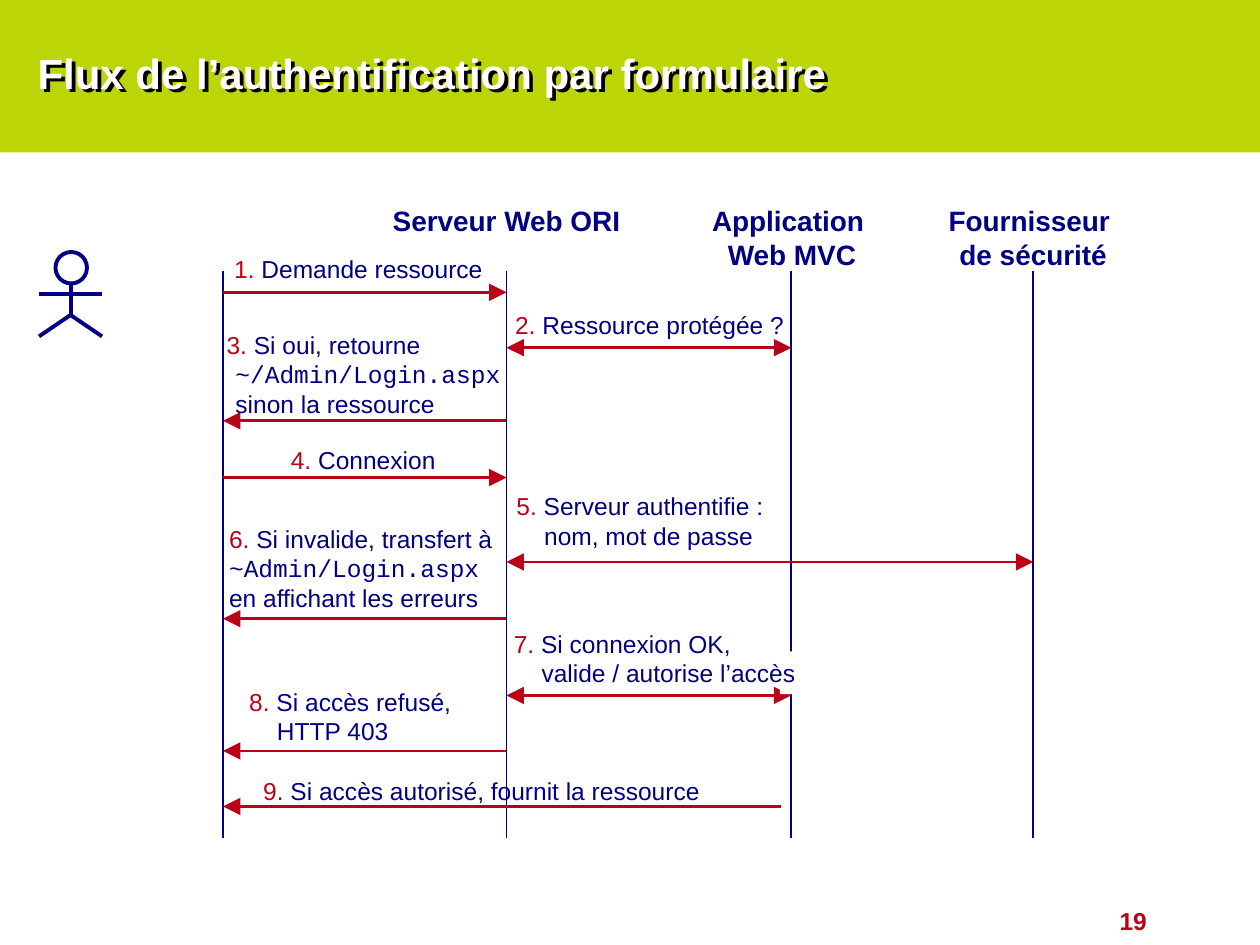
from lxml.etree import SubElement
from pptx import Presentation
from pptx.dml.color import RGBColor
from pptx.enum.shapes import MSO_CONNECTOR, MSO_SHAPE
from pptx.enum.text import MSO_ANCHOR, PP_ALIGN
from pptx.oxml.ns import qn
from pptx.util import Inches, Pt

LIME = RGBColor(0xBC, 0xD5, 0x07)
WHITE = RGBColor(0xFF, 0xFF, 0xFF)
NAVY = RGBColor(0x00, 0x00, 0x80)
RED = RGBColor(0xB9, 0x01, 0x17)

prs = Presentation()
prs.slide_width, prs.slide_height = Inches(10), Inches(7.5)
slide = prs.slides.add_slide(prs.slide_layouts[6])
slide.background.fill.solid()
slide.background.fill.fore_color.rgb = LIME


def add_line(start, end, color, width, heads=""):
    """Draw a line; heads may hold "<" (at start) and ">" (at end)."""
    points = [Inches(v) for v in (*start, *end)]
    line = slide.shapes.add_connector(MSO_CONNECTOR.STRAIGHT, *points)
    line.line.color.rgb = color
    line.line.width = Pt(width)
    ln = line.line._get_or_add_ln()
    for mark, tag in (("<", "a:headEnd"), (">", "a:tailEnd")):
        if mark in heads:
            SubElement(ln, qn(tag), type="triangle", w="lg", len="lg")
    SubElement(line._element.spPr, qn("a:effectLst"))


def add_text(box, lines, size, bold=False, align=PP_ALIGN.LEFT, indent=0, wrap=False):
    """Add one paragraph per line; a line is a list of (text, color, font)."""
    textbox = slide.shapes.add_textbox(*[Inches(v) for v in box])
    frame = textbox.text_frame
    frame.word_wrap = wrap
    for i, line in enumerate(lines):
        para = frame.paragraphs[0] if i == 0 else frame.add_paragraph()
        para.alignment = align
        if i and indent:
            para._p.get_or_add_pPr().set("marL", str(Inches(indent)))
        for text, color, font in line:
            run = para.add_run()
            run.text = text
            run.font.size = Pt(size)
            run.font.bold = bold
            run.font.color.rgb = color
            run.font.name = font
    return textbox


# White content area under the title band
content = slide.shapes.add_shape(MSO_SHAPE.RECTANGLE, Inches(0), Inches(1.21),
                                 Inches(10), Inches(6.29))

# Page number
add_text((7.62, 7.14, 1.58, 0.33), [[("19", RED, "Arial")]], 14, True,
         PP_ALIGN.RIGHT, wrap=True)

# Title with a hard black shadow
title = add_text((0.2, 0.18, 8.52, 0.79),
                 [[("Flux de l’authentification par formulaire", WHITE, "Arial")]],
                 24, True, wrap=True)
title.text_frame.vertical_anchor = MSO_ANCHOR.MIDDLE
effects = SubElement(title._element.spPr, qn("a:effectLst"))
shadow = SubElement(effects, qn("a:outerShdw"), blurRad="0", dist=str(Pt(3)),
                    dir="2700000", algn="ctr", rotWithShape="0")
SubElement(shadow, qn("a:srgbClr"), val="000000")

# Lifelines
USER, SERVER, APP, PROVIDER = 1.77, 4.02, 6.28, 8.2
for x in (USER, SERVER, APP, PROVIDER):
    add_line((x, 2.15), (x, 6.65), NAVY, 1)

# Lifeline headings
headings = [
    ((2.82, 1.57, 2.4, 0.37), ["Serveur Web ORI"]),
    ((5.54, 1.57, 1.49, 0.64), ["Application ", "Web MVC"]),
    ((7.42, 1.57, 1.56, 0.64), ["Fournisseur ", "de sécurité"]),
]
for box, lines in headings:
    add_text(box, [[(line, NAVY, "Arial")] for line in lines], 16, True, PP_ALIGN.CENTER)

# Message arrows: y, from, to, heads
messages = [
    (2.32, USER, SERVER, ">"),
    (2.76, SERVER, APP, "<>"),
    (3.34, USER, SERVER, "<"),
    (3.79, USER, SERVER, ">"),
    (4.46, SERVER, PROVIDER, "<>"),
    (4.91, USER, SERVER, "<"),
    (5.52, SERVER, APP, "<>"),
    (5.96, USER, SERVER, "<"),
    (6.4, USER, 6.2, "<"),
]
for y, start, end, heads in messages:
    add_line((start, y), (end, y), RED, 1.5, heads)

# Gap in the application lifeline behind step 7
gap = slide.shapes.add_shape(MSO_SHAPE.RECTANGLE, Inches(6.19), Inches(5.17),
                             Inches(0.2), Inches(0.34))

# Numbered steps: box, indent of the following lines, lines
steps = [
    ((1.76, 1.97, 2.18, 0.34), 0, ["Demande ressource"]),
    ((3.99, 2.41, 2.34, 0.34), 0, ["Ressource protégée ?"]),
    ((1.7, 2.57, 2.52, 0.81), 0.07,
     ["Si oui, retourne", "~/Admin/Login.aspx", "sinon la ressource"]),
    ((2.21, 3.48, 1.36, 0.34), 0, ["Connexion"]),
    ((4, 3.85, 2.22, 0.57), 0.22, ["Serveur authentifie :", "nom, mot de passe"]),
    ((1.72, 4.11, 2.36, 0.81), 0,
     ["Si invalide, transfert à", "~Admin/Login.aspx", "en affichant les erreurs"]),
    ((3.98, 4.94, 2.44, 0.57), 0.22, ["Si connexion OK,", "valide / autorise l’accès"]),
    ((1.88, 5.4, 1.9, 0.57), 0.22, ["Si accès refusé,", "HTTP 403"]),
    ((1.99, 6.11, 3.68, 0.34), 0, ["Si accès autorisé, fournit la ressource"]),
]
for number, (box, indent, (first, *others)) in enumerate(steps, 1):
    lines = [[(f"{number}.", RED, "Arial"), (f" {first}", NAVY, "Arial")]]
    for text in others:
        lines.append([(text, NAVY, "Courier New" if text.startswith("~") else "Arial")])
    add_text(box, lines, 14, indent=indent, wrap=number in (3, 8))

# Stick figure of the user
head = slide.shapes.add_shape(MSO_SHAPE.OVAL, Inches(0.44), Inches(2),
                              Inches(0.25), Inches(0.25))
head.fill.background()
head.line.color.rgb = NAVY
head.line.width = Pt(2.25)
limbs = [
    ((0.31, 2.33), (0.81, 2.33)),
    ((0.81, 2.67), (0.56, 2.5)),
    ((0.31, 2.67), (0.56, 2.5)),
    ((0.56, 2.25), (0.56, 2.5)),
]
for start, end in limbs:
    add_line(start, end, NAVY, 2.25)

# Shared shape styling
for patch in (content, gap):
    patch.fill.solid()
    patch.fill.fore_color.rgb = WHITE
    patch.line.fill.background()
for shape in (content, gap, head):
    shape.shadow.inherit = False

prs.save("out.pptx")
